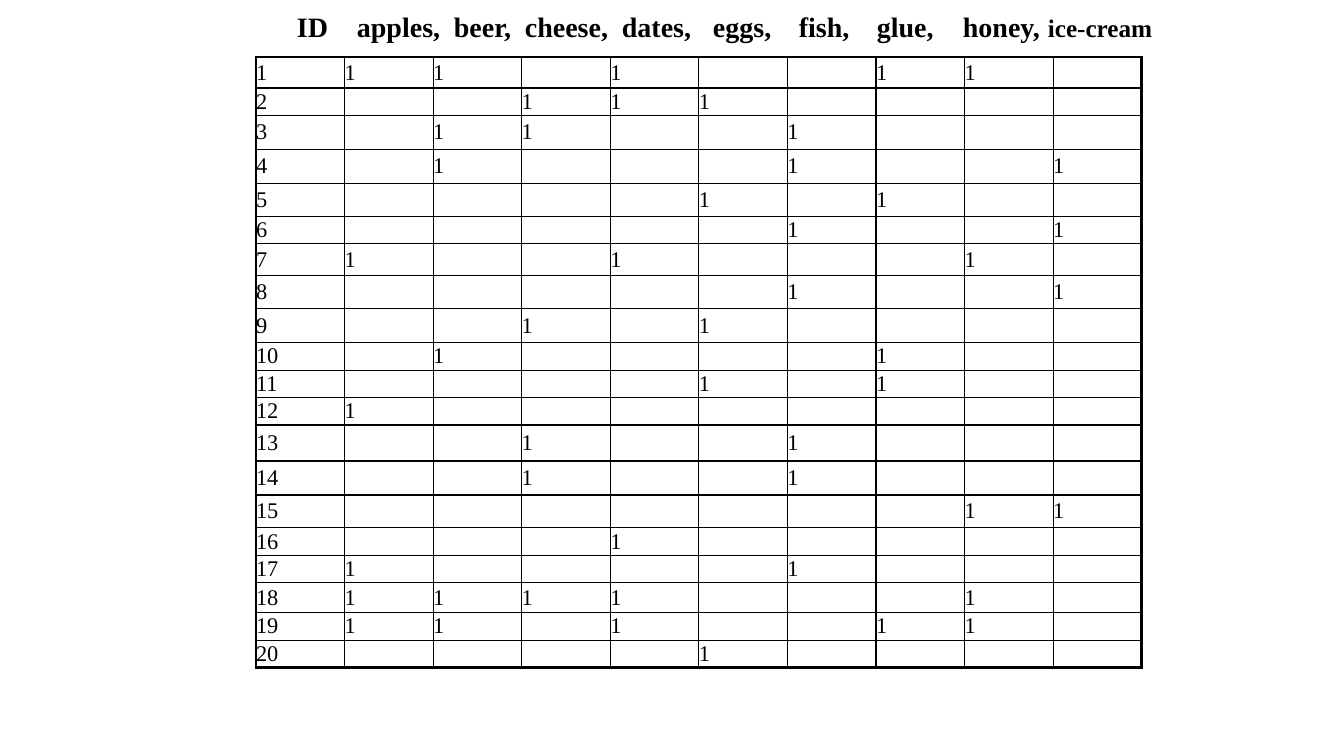
from lxml import etree
from pptx import Presentation, util as u
from pptx.dml.color import RGBColor
from pptx.enum import text
from pptx.oxml import ns

EMU_PER_PX = 914400 / 100.8
ITEMS = "abcdefghi"
BASKETS = ("abdgh cde bcf bfi eg fi adh fi ce bg "
           "eg a cf cf hi d af abcdh abdgh e").split()
ROW_HEIGHTS = [31, 27, 34, 34, 33, 27, 32, 33, 34, 27,
               27, 27, 36, 34, 33, 27, 27, 30, 27, 27]
HEADER = [("ID", 20), ("apples,", 20), ("beer,", 20), ("cheese,", 20), ("dates,", 20),
          ("eggs,", 20), ("fish,", 20), ("glue,", 20), ("honey,", 20), ("ice-cream", 18)]
HEADER_TABS = [60, 157, 228, 325, 416, 502, 580, 666, 751]


def px(length):
    return u.Emu(round(length * EMU_PER_PX))


def color(hex_string):
    return RGBColor.from_string(hex_string)


def add_element(parent, tag, **attributes):
    values = {name: str(value) for name, value in attributes.items()}
    return etree.SubElement(parent, ns.qn(tag), values)


def set_all(target, formats):
    for name, value in formats.items():
        setattr(target, name, value)


class SlideBuilder:
    FONT = "Times New Roman"
    INK = "000000"
    CELL_SIZE = 16
    THIN, THICK = 1, 2.25

    def __init__(self, slide):
        self.slide = slide

    def style_font(self, font, size, bold=False):
        set_all(font, {"name": self.FONT, "size": u.Pt(size), "bold": bold})
        font.color.rgb = color(self.INK)

    def tabbed_line(self, left, top, width, height, words, tabs):
        """Place sized words on one line, each after the first at a tab stop."""
        shape = self.slide.shapes.add_textbox(*map(px, (left, top, width, height)))
        shape.text_frame.word_wrap = True
        paragraph = shape.text_frame.paragraphs[0]
        tab_list = add_element(paragraph._p.get_or_add_pPr(), "a:tabLst")
        for position in tabs:
            add_element(tab_list, "a:tab", pos=px(position), algn="l")
        for index, (word, size) in enumerate(words):
            run = paragraph.add_run()
            run.text = "\t" + word if index else word
            self.style_font(run.font, size, bold=True)

    def border(self, cell, side, width):
        line = add_element(cell._tc.get_or_add_tcPr(), f"a:ln{side}", w=u.Pt(width))
        add_element(add_element(line, "a:solidFill"), "a:srgbClr", val=self.INK)

    def cell(self, cell, value, outer_sides):
        set_all(cell, {"margin_left": 0, "margin_right": 0, "margin_top": 0,
                       "margin_bottom": 0, "vertical_anchor": text.MSO_ANCHOR.MIDDLE})
        for side in "LRTB":
            self.border(cell, side, self.THICK if side in outer_sides else self.THIN)
        cell.fill.background()
        paragraph = cell.text_frame.paragraphs[0]
        if value:
            run = paragraph.add_run()
            run.text = value
            self.style_font(run.font, self.CELL_SIZE)
        else:
            add_element(paragraph._p, "a:endParaRPr", sz=self.CELL_SIZE * 100)

    def table(self, left, top, width, row_heights, rows):
        last_row, last_column = len(rows) - 1, len(rows[0]) - 1
        frame = self.slide.shapes.add_table(
            len(rows), len(rows[0]), *map(px, (left, top, width, sum(row_heights))))
        table = frame.table
        set_all(table, {"first_row": False, "horz_banding": False})
        for column in table.columns:
            column.width = px(width / len(rows[0]))
        for r, values in enumerate(rows):
            table.rows[r].height = px(row_heights[r])
            for c, value in enumerate(values):
                edges = {"L": c == 0, "R": c == last_column, "T": r == 0, "B": r == last_row}
                self.cell(table.cell(r, c), value, [s for s in edges if edges[s]])


def main():
    presentation = Presentation()
    set_all(presentation, {"slide_width": px(1344), "slide_height": px(756)})
    builder = SlideBuilder(presentation.slides.add_slide(presentation.slide_layouts[6]))
    rows = [[str(number)] + ["1" if item in basket else "" for item in ITEMS]
            for number, basket in enumerate(BASKETS, 1)]
    builder.table(256, 57, 886, ROW_HEIGHTS, rows)
    builder.tabbed_line(287, 5, 878, 43, HEADER, HEADER_TABS)
    presentation.save("out.pptx")


if __name__ == "__main__":
    main()
